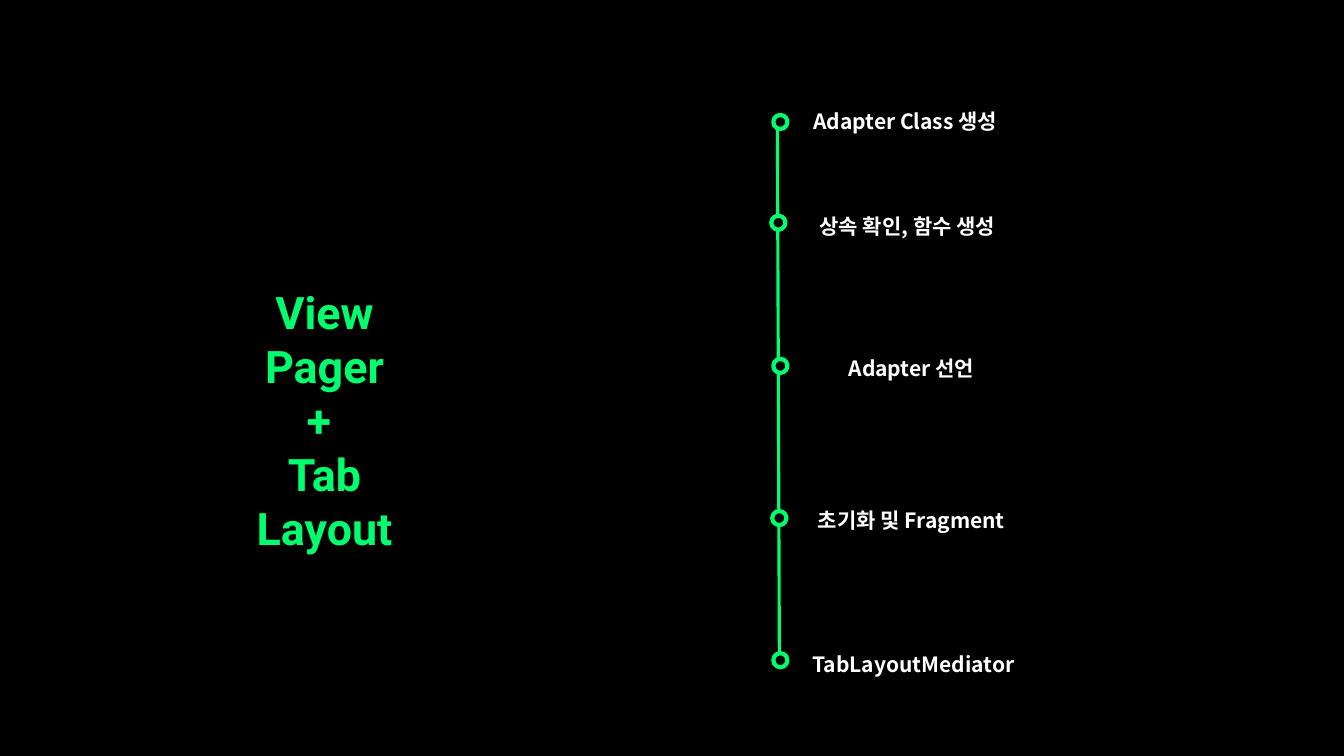
from lxml import etree
from pptx import Presentation
from pptx.dml.color import RGBColor
from pptx.enum.shapes import MSO_CONNECTOR, MSO_SHAPE
from pptx.enum.text import MSO_ANCHOR, PP_ALIGN
from pptx.oxml.ns import qn
from pptx.util import Inches, Pt

BLACK = RGBColor(0x00, 0x00, 0x00)
GREEN = RGBColor(0x00, 0xFF, 0x6F)
WHITE = RGBColor(0xFF, 0xFF, 0xFF)

CENTER = PP_ALIGN.CENTER
TOP = MSO_ANCHOR.TOP
DOT = MSO_SHAPE.FLOWCHART_CONNECTOR
STRAIGHT = MSO_CONNECTOR.STRAIGHT

WIDTH = Inches(13.33)
HEIGHT = Inches(7.5)
DOT_SIZE = Inches(0.14)

TITLE = ["View Pager", "+ ", "Tab Layout"]

# Dot left and top, label left and top, label; in percent of the slide
STEPS = [
    (57.54, 15.2, 59.1, 13.73, "Adapter Class 생성"),
    (57.39, 28.53, 59.26, 27.6, "상속 확인, 함수 생성"),
    (57.54, 47.47, 59.56, 46.4, "Adapter 선언"),
    (57.46, 67.6, 59.56, 66.53, "초기화 및 Fragment"),
    (57.54, 86.4, 59.71, 85.47, "TabLayoutMediator"),
]


def across(share):
    return round(WIDTH * share / 100)


def down(share):
    return round(HEIGHT * share / 100)


def add_text(slide, lines, left, top, width, height, *, font, size, color):
    box = slide.shapes.add_textbox(
        across(left), down(top), across(width), down(height))
    frame = box.text_frame
    frame.word_wrap = True
    frame.vertical_anchor = TOP
    frame.margin_left = frame.margin_right = Inches(0.08)
    for index, line in enumerate(lines):
        para = frame.paragraphs[0] if index == 0 else frame.add_paragraph()
        para.alignment = CENTER
        run = para.add_run()
        run.text = line
        run.font.name = font
        run.font.size = Pt(size)
        run.font.bold = True
        run.font.color.rgb = color
        # Korean letters take their font from a:ea
        east = etree.SubElement(run.font._element, qn("a:ea"))
        east.set("typeface", font)


def add_line(slide, start, end):
    line = slide.shapes.add_connector(
        STRAIGHT, across(start[0]), down(start[1]),
        across(end[0]), down(end[1]))
    line.line.color.rgb = GREEN
    line.line.width = Pt(2.25)
    etree.SubElement(line._element.spPr, qn("a:effectLst"))


def add_dot(slide, left, top):
    dot = slide.shapes.add_shape(
        DOT, across(left), down(top), DOT_SIZE, DOT_SIZE)
    dot.shadow.inherit = False
    dot.fill.solid()
    dot.fill.fore_color.rgb = BLACK
    dot.line.color.rgb = GREEN
    dot.line.width = Pt(3)


def main():
    deck = Presentation()
    deck.slide_width = WIDTH
    deck.slide_height = HEIGHT
    slide = deck.slides.add_slide(deck.slide_layouts[6])
    slide.background.fill.solid()
    slide.background.fill.fore_color.rgb = BLACK

    add_text(slide, TITLE, 15.6, 37.07, 17.1, 22.93,
             font="Roboto", size=32, color=GREEN)
    add_line(slide, (57.99, 87.07), (57.84, 15.2))
    for dot_x, dot_y, text_x, text_y, label in STEPS:
        add_dot(slide, dot_x, dot_y)
        add_text(slide, [label], text_x, text_y, 16.5, 4.67,
                 font="Noto Sans CJK KR", size=15, color=WHITE)
    deck.save("out.pptx")


if __name__ == "__main__":
    main()
